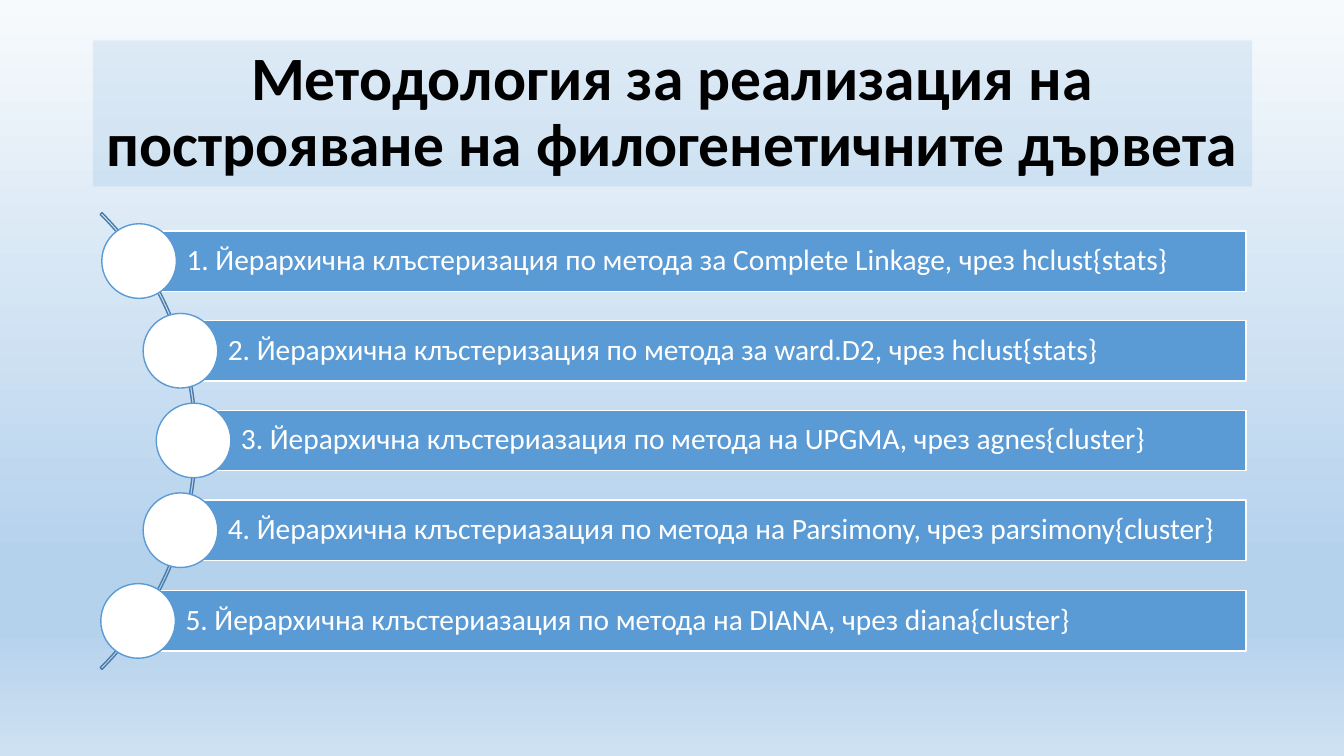
from math import sqrt

from lxml.etree import SubElement
from pptx import Presentation
from pptx.dml.color import RGBColor
from pptx.enum.shapes import MSO_SHAPE
from pptx.enum.text import MSO_ANCHOR, MSO_AUTO_SIZE, PP_ALIGN
from pptx.oxml.ns import qn
from pptx.util import Emu, Pt

BLUE = RGBColor(0x5B, 0x9B, 0xD5)
DARK_BLUE = RGBColor(0x49, 0x7C, 0xAB)
WHITE = RGBColor(0xFF, 0xFF, 0xFF)
BLACK = RGBColor(0x00, 0x00, 0x00)
SKY = [
    (0, RGBColor(0xF7, 0xFA, 0xFD)),
    (74, RGBColor(0xB5, 0xD2, 0xEC)),
    (83, RGBColor(0xB5, 0xD2, 0xEC)),
    (100, RGBColor(0xCE, 0xE1, 0xF2)),
]

TITLE = "Методология за реализация на построяване на филогенетичните дървета"
METHODS = [
    "1. Йерархична клъстеризация по метода за Complete Linkage, чрез hclust{stats}",
    "2. Йерархична клъстеризация по метода за ward.D2, чрез hclust{stats}",
    "3. Йерархична клъстериазация по метода на UPGMA, чрез agnes{cluster}",
    "4. Йерархична клъстериазация по метода на Parsimony, чрез parsimony{cluster}",
    "5. Йерархична клъстериазация по метода на DIANA, чрез diana{cluster}",
]


def px(n):
    return Emu(n * 9144)


class Deck:
    font = "Calibri"

    def __init__(self, width, height):
        self.prs = Presentation()
        self.prs.slide_width, self.prs.slide_height = px(width), px(height)
        self.slide = self.prs.slides.add_slide(self.prs.slide_layouts[5])

    def background(self, stops):
        fill = self.slide.background.fill
        fill.gradient()
        fill.gradient_angle = 270
        gs_list = self.slide.element.find(".//" + qn("a:gsLst"))
        for gs in list(gs_list):
            gs_list.remove(gs)
        for pos, color in stops:
            gs = SubElement(gs_list, qn("a:gs"), pos=str(pos * 1000))
            SubElement(gs, qn("a:srgbClr"), val=str(color))

    def text(self, sp, text, size, color, align, bold=False):
        tf = sp.text_frame
        tf.word_wrap = True
        tf.auto_size = MSO_AUTO_SIZE.NONE
        tf.vertical_anchor = MSO_ANCHOR.MIDDLE
        p = tf.paragraphs[0]
        p.alignment, p.line_spacing = align, 0.9
        r = p.add_run()
        r.text = text
        r.font.name, r.font.size, r.font.bold = self.font, Pt(size), bold
        r.font.color.rgb = color

    def title(self, text, x, y, w, h, alpha):
        sp = self.slide.shapes.title
        sp.left, sp.top, sp.width, sp.height = px(x), px(y), px(w), px(h)
        sp.fill.solid()
        sp.fill.fore_color.rgb = BLUE
        clr = sp.element.spPr.find(".//" + qn("a:srgbClr"))
        SubElement(clr, qn("a:alpha"), val=str(alpha * 1000))
        self.text(sp, text, 44, BLACK, PP_ALIGN.CENTER, True)

    def shape(self, kind, x, y, w, h, line, fill=None):
        sp = self.slide.shapes.add_shape(kind, px(x), px(y), px(w), px(h))
        sp.shadow.inherit = False
        if fill is None:
            sp.fill.background()
        else:
            sp.fill.solid()
            sp.fill.fore_color.rgb = fill
        sp.line.color.rgb = line
        sp.line.width = Pt(1)
        return sp

    def arc(self, x, y, size, start, end, thickness):
        sp = self.shape(MSO_SHAPE.BLOCK_ARC, x, y, size, size, DARK_BLUE)
        for i, value in enumerate((start, end, thickness)):
            sp.adjustments[i] = value

    def bar(self, text, x, y, w, h):
        sp = self.shape(MSO_SHAPE.RECTANGLE, x, y, w, h, WHITE, BLUE)
        tf = sp.text_frame
        tf.margin_left = px(47)
        tf.margin_top = tf.margin_right = tf.margin_bottom = px(6)
        self.text(sp, text, 21, WHITE, PP_ALIGN.LEFT)

    def circle(self, cx, cy, d):
        self.shape(MSO_SHAPE.OVAL, cx - d // 2, cy - d // 2, d, d, BLUE, WHITE)


def main():
    deck = Deck(1333, 750)
    deck.background(SKY)
    deck.title(TITLE, 92, 40, 1150, 145, 14)
    deck.arc(-446, 117, 641, 189, 27, 0.004)

    arc_x, arc_y, radius = -126, 437, 318
    bar_right, bar_h = 1236, 60
    for i, method in enumerate(METHODS):
        cy = 259 + i * 357 // 4
        cx = arc_x + round(sqrt(radius ** 2 - (cy - arc_y) ** 2))
        deck.bar(method, cx, cy - bar_h // 2, bar_right - cx, bar_h)
        deck.circle(cx, cy, 74)

    deck.prs.save("out.pptx")


if __name__ == "__main__":
    main()
